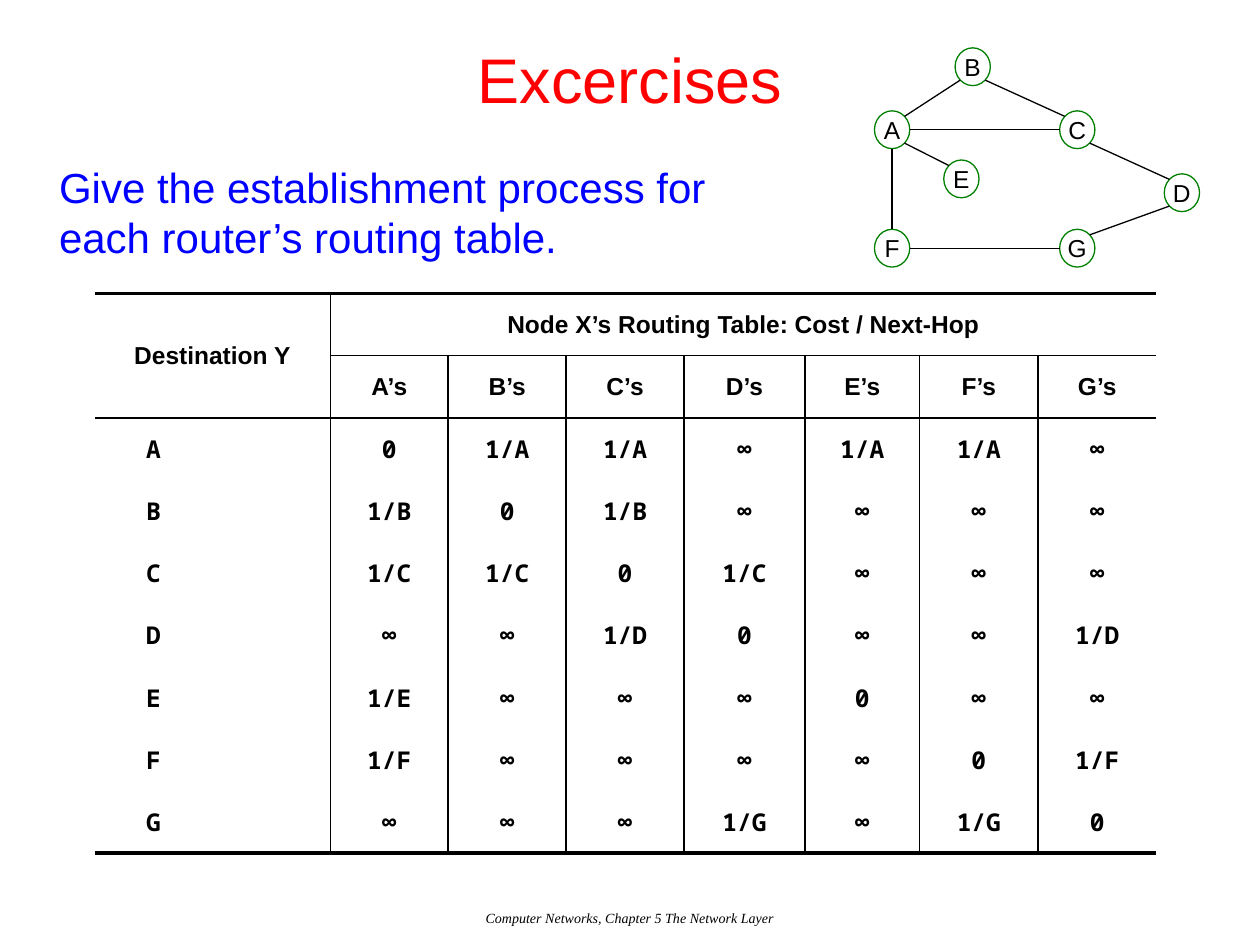
from dataclasses import dataclass
from math import cos, radians, sin

from lxml import etree
from pptx import Presentation, util as u
from pptx.dml.color import RGBColor
from pptx.enum import shapes, text
from pptx.oxml import ns

COLUMNS, ROWS = 100, 75


@dataclass(frozen=True)
class Theme:
    title: str = "FF0000"
    prompt: str = "0000FF"
    ink: str = "000000"
    paper: str = "FFFFFF"
    node: str = "008000"
    sans: str = "Arial"
    mono: str = "Noto Sans Mono"
    serif: str = "Times New Roman"
    title_size: int = 36
    prompt_size: int = 24
    label_size: int = 14
    footer_size: int = 8
    thin: float = 0.75
    rule: float = 1
    heavy: float = 2.25


class SlideBuilder:
    def __init__(self, presentation, theme):
        self.theme = theme
        self.unit_x = presentation.slide_width / COLUMNS
        self.unit_y = presentation.slide_height / ROWS
        self.slide = presentation.slides.add_slide(presentation.slide_layouts[5])
        self.diagram = self.slide.shapes.add_group_shape()

    def box(self, left, top, width, height):
        return (round(left * self.unit_x), round(top * self.unit_y),
                round(width * self.unit_x), round(height * self.unit_y))

    def add_words(self, frame, words, size, color, font=None,
                  align=text.PP_ALIGN.CENTER, bold=False, italic=False):
        paragraph = frame.paragraphs[0]
        paragraph.alignment = align
        run = paragraph.add_run()
        run.text = words
        run.font.name = font or self.theme.sans
        run.font.size = u.Pt(size)
        run.font.bold = bold
        run.font.italic = italic
        run.font.color.rgb = RGBColor.from_string(color)

    def title(self, words, *place):
        shape = self.slide.shapes.title
        shape.left, shape.top, shape.width, shape.height = self.box(*place)
        shape.text_frame.vertical_anchor = text.MSO_ANCHOR.MIDDLE
        self.add_words(shape.text_frame, words, self.theme.title_size, self.theme.title)

    def text_box(self, words, place, size, color, **style):
        shape = self.slide.shapes.add_textbox(*self.box(*place))
        shape.text_frame.word_wrap = True
        self.add_words(shape.text_frame, words, size, color, **style)

    def node(self, name, left, top, width, height):
        shape = self.diagram.shapes.add_shape(
            shapes.MSO_SHAPE.OVAL, *self.box(left, top, width, height))
        shape.shadow.inherit = False
        shape.fill.background()
        shape.line.color.rgb = RGBColor.from_string(self.theme.node)
        shape.line.width = u.Pt(self.theme.thin)
        frame = shape.text_frame
        frame.word_wrap = False
        frame.vertical_anchor = text.MSO_ANCHOR.MIDDLE
        self.add_words(frame, name, self.theme.label_size, self.theme.ink)
        return shape

    def edge_point(self, shape, angle):
        turn = radians(angle)
        return (round(shape.left + shape.width * (1 + cos(turn)) / 2),
                round(shape.top + shape.height * (1 + sin(turn)) / 2))

    def link(self, start, end, angle):
        line = self.diagram.shapes.add_connector(
            shapes.MSO_CONNECTOR.STRAIGHT,
            *self.edge_point(start, angle), *self.edge_point(end, angle + 180))
        line.line.color.rgb = RGBColor.from_string(self.theme.ink)
        line.line.width = u.Pt(self.theme.thin)
        etree.SubElement(line._element.spPr, ns.qn("a:effectLst"))

    def border(self, cell, side, width):
        properties = cell._tc.get_or_add_tcPr()
        line = etree.SubElement(properties, ns.qn(f"a:ln{side}"), w=str(u.Pt(width)))
        if width:
            fill = etree.SubElement(line, ns.qn("a:solidFill"))
            etree.SubElement(fill, ns.qn("a:srgbClr"), val=self.theme.ink)
        else:
            etree.SubElement(line, ns.qn("a:noFill"))

    def routing_table(self, place, widths, rows):
        theme = self.theme
        last_row, last_column = len(rows) - 1, len(widths) - 1
        table = self.slide.shapes.add_table(
            len(rows), len(widths), *self.box(*place)).table
        table.first_row = table.horz_banding = False
        for column, width in zip(table.columns, widths):
            column.width = round(width * self.unit_x)

        def vertical(row, edge):
            if edge in (0, 1, last_column + 1) or (row == 0 and edge > 2):
                return 0
            return theme.rule

        def horizontal(edge, column):
            if edge in (0, last_row + 1):
                return theme.heavy
            return theme.rule if edge == 2 or (edge == 1 and column > 1) else 0

        for row, values in enumerate(rows):
            for column, value in enumerate(values):
                cell = table.cell(row, column)
                self.border(cell, "L", vertical(row, column))
                self.border(cell, "R", vertical(row, column + 1))
                self.border(cell, "T", horizontal(row, column))
                self.border(cell, "B", horizontal(row + 1, column))
                cell.fill.solid()
                cell.fill.fore_color.rgb = RGBColor.from_string(theme.paper)
                paper = cell._tc.tcPr.find(ns.qn("a:solidFill"))[0]
                etree.SubElement(paper, ns.qn("a:alpha"), val="50000")
                cell.vertical_anchor = text.MSO_ANCHOR.MIDDLE
                if value:
                    self.add_words(cell.text_frame, value, theme.label_size, theme.ink,
                                   font=theme.sans if row < 2 else theme.mono, bold=True)
        table.cell(0, 0).merge(table.cell(1, 1))
        table.cell(0, 2).merge(table.cell(0, last_column))


NODES = {"B": (75.8, 3.8), "A": (69.4, 8.8), "C": (84.1, 8.8), "D": (92.4, 13.8),
         "E": (74.9, 12.7), "F": (69.4, 18.2), "G": (84.1, 18.2)}
LINKS = {("A", "B"): -45, ("B", "C"): 45, ("D", "C"): 225, ("A", "E"): 45,
         ("A", "F"): 90, ("F", "G"): 0, ("G", "D"): -45, ("A", "C"): 0}


def cost(destination, router):
    if destination == router:
        return "0"
    linked = (destination, router) in LINKS or (router, destination) in LINKS
    return f"1/{destination}" if linked else "∞"


def main():
    presentation = Presentation()
    presentation.slide_width, presentation.slide_height = u.Inches(10), u.Inches(7.5)
    theme = Theme()
    builder = SlideBuilder(presentation, theme)

    builder.title("Excercises", 0, 0, COLUMNS, 12.5)
    builder.text_box("Computer Networks, Chapter 5 The Network Layer",
                     (0, 71.7, COLUMNS, 3.3), theme.footer_size, theme.ink,
                     font=theme.serif, italic=True)

    nodes = {name: builder.node(name, *corner, 2.8, 3) for name, corner in NODES.items()}
    for (start, end), angle in LINKS.items():
        builder.link(nodes[start], nodes[end], angle)

    routers = sorted(NODES)
    header = ["Destination Y", "", "Node X’s Routing Table: Cost / Next-Hop"]
    rows = [header + [""] * (len(routers) - 1),
            ["", ""] + [f"{router}’s" for router in routers]]
    rows += [[destination, ""] + [cost(destination, router) for router in routers]
             for destination in routers]
    builder.routing_table((7.5, 23.3, 84.4, 44.4),
                          [9.36] * 5 + [9.6, 9.1] + [9.4] * 2, rows)

    builder.text_box("Give the establishment process for each router’s routing table.",
                     (3.7, 12.3, 60.5, 9.1), theme.prompt_size, theme.prompt,
                     align=text.PP_ALIGN.LEFT)
    presentation.save("out.pptx")


if __name__ == "__main__":
    main()
